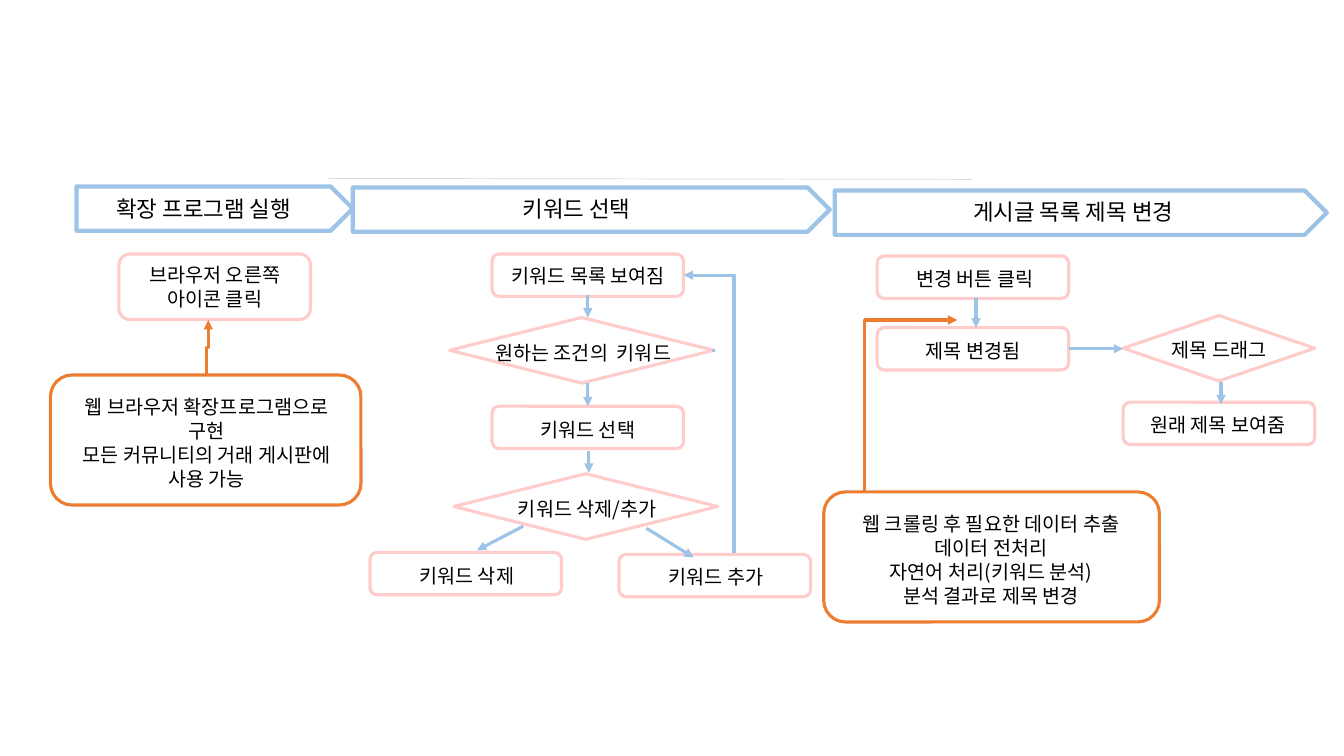
from typing import NamedTuple

from lxml.etree import SubElement
from pptx import Presentation
from pptx.dml.color import RGBColor
from pptx.enum.shapes import MSO_CONNECTOR as Link, MSO_SHAPE as Preset
from pptx.enum.text import MSO_AUTO_SIZE as AutoSize, PP_ALIGN as Align
from pptx.oxml.ns import qn
from pptx.util import Inches, Pt

FONT = "Noto Sans CJK KR"
BLUE, PINK, ORANGE, GRAY, BLACK = "9DC3E6", "FFCCCC", "ED7D31", "D9D9D9", "000000"


class Style(NamedTuple):
    """Look shared by one family of flow steps; line_pitch is in points."""
    preset: int
    color: str
    weight: float
    font_size: int
    line_pitch: int


class Step(NamedTuple):
    """An outlined step and its label; label is left, top and width."""
    style: Style
    left: float
    top: float
    width: float
    height: float
    label: tuple[float, float, float]
    paragraphs: tuple[str, ...]
    rows: int = 1


class Arrow(NamedTuple):
    """A straight line, with an arrowhead at its end unless head is False."""
    start: tuple[float, float]
    end: tuple[float, float]
    color: str = BLUE
    weight: float = 2.25
    head: bool = True


class Elbow(NamedTuple):
    """A bent arrow: corners before rotation, degrees, and bend position."""
    start: tuple[float, float]
    end: tuple[float, float]
    rotation: int
    bend: float
    color: str


PHASE = Style(Preset.PENTAGON, BLUE, 3, 16, 19)
ACTION = Style(Preset.ROUNDED_RECTANGLE, PINK, 2.25, 14, 17)
DECISION = ACTION._replace(preset=Preset.FLOWCHART_DECISION)
NOTE = ACTION._replace(color=ORANGE)


def action(left: float, top: float, label: tuple[float, float, float], text: str) -> Step:
    """Describe a one-line action of the standard size."""
    return Step(ACTION, left, top, 1.9, 0.42, label, (text,))


STEPS = [
    Step(PHASE, 0.76, 1.85, 2.74, 0.44, (0.79, 1.89, 2.46), ("확장 프로그램 실행",)),
    Step(PHASE, 3.5, 1.86, 4.73, 0.44, (3.6, 1.89, 4.24), ("키워드 선택",)),
    Step(PHASE, 8.28, 1.89, 4.88, 0.44, (8.33, 1.92, 4.63), ("게시글 목록 제목 변경",)),
    Step(ACTION, 1.18, 2.52, 1.9, 0.65, (1.19, 2.56, 1.88),
         ("브라우저 오른쪽 아이콘 클릭",), 2),
    action(4.88, 2.52, (4.83, 2.57, 2.01), "키워드 목록 보여짐"),
    Step(DECISION, 4.46, 3.15, 2.62, 0.65, (4.69, 3.33, 2.19), ("원하는 조건의  키워드",)),
    action(4.88, 4.03, (4.89, 4.09, 1.88), "키워드 선택"),
    Step(DECISION, 4.5, 4.7, 2.62, 0.65, (4.73, 4.88, 2.19), ("키워드 삭제/추가",)),
    action(3.67, 5.48, (3.69, 5.54, 1.88), "키워드 삭제"),
    action(6.14, 5.5, (6.16, 5.55, 1.88), "키워드 추가"),
    action(8.7, 2.54, (8.73, 2.6, 1.88), "변경 버튼 클릭"),
    action(8.7, 3.25, (8.71, 3.31, 1.88), "제목 변경됨"),
    Step(DECISION, 11.14, 3.13, 1.9, 0.65, (11.15, 3.3, 1.88), ("제목 드래그",)),
    action(11.14, 3.99, (11.14, 4.04, 1.88), "원래 제목 보여줌"),
    Step(NOTE, 0.5, 3.72, 3.08, 1.29, (0.56, 3.87, 2.98),
         ("웹 브라우저 확장프로그램으로 구현", "모든 커뮤니티의 거래 게시판에 사용 가능"), 4),
    Step(NOTE, 8.17, 4.88, 3.33, 1.29, (8.23, 5.03, 3.2),
         ("웹 크롤링 후 필요한 데이터 추출", "데이터 전처리",
          "자연어 처리(키워드 분석)", "분석 결과로 제목 변경"), 4),
]

DIVIDER = Arrow((3.24, 1.77), (9.64, 1.78), GRAY, 0.5, False)
ARROWS = [
    Arrow((5.83, 2.93), (5.83, 3.15)),
    Arrow((5.83, 3.8), (5.83, 4.03)),
    Arrow((5.84, 4.47), (5.84, 4.69)),
    Arrow((5.19, 5.22), (4.73, 5.46)),
    Arrow((6.41, 5.24), (6.88, 5.53)),
    Arrow((7.09, 3.48), (7.06, 3.48), head=False),
    Arrow((9.68, 2.96), (9.68, 3.25)),
    Arrow((10.6, 3.46), (11.14, 3.46)),
    Arrow((12.11, 3.79), (12.11, 4.01)),
]
ELBOWS = [
    Elbow((5.65, 4.36), (8.41, 3.86), 270, 1, BLUE),
    Elbow((9.89, 4.49), (8.18, 3.57), 90, 1, ORANGE),
    Elbow((2.33, 3.46), (1.78, 3.44), 90, 0.5, ORANGE),
]


def rgb(color: str) -> RGBColor:
    """Turn a hex string into a colour."""
    return RGBColor.from_string(color)


def add_label(slide, step: Step) -> None:
    """Write the centred text of a step."""
    left, top, width = step.label
    height = 0.1 + step.rows * step.style.line_pitch / 72
    box = slide.shapes.add_textbox(Inches(left), Inches(top), Inches(width), Inches(height))
    frame = box.text_frame
    frame.word_wrap = True
    frame.auto_size = AutoSize.SHAPE_TO_FIT_TEXT
    for index, text in enumerate(step.paragraphs):
        paragraph = frame.add_paragraph() if index else frame.paragraphs[0]
        paragraph.alignment = Align.CENTER
        paragraph.line_spacing = Pt(step.style.line_pitch)
        run = paragraph.add_run()
        run.text = text
        run.font.size = Pt(step.style.font_size)
        run.font.name = FONT
        run.font.color.rgb = rgb(BLACK)
        SubElement(run.font._element, qn("a:ea"), typeface=FONT)


def add_step(slide, step: Step) -> None:
    """Draw the outline of a step, then its label."""
    shape = slide.shapes.add_shape(step.style.preset, Inches(step.left), Inches(step.top),
                                   Inches(step.width), Inches(step.height))
    shape.shadow.inherit = False
    shape.fill.background()
    shape.line.color.rgb = rgb(step.style.color)
    shape.line.width = Pt(step.style.weight)
    add_label(slide, step)


def add_link(slide, kind: int, arrow: Arrow):
    """Draw a connector without shadow and return it."""
    connector = slide.shapes.add_connector(kind, *map(Inches, arrow.start + arrow.end))
    connector.line.color.rgb = rgb(arrow.color)
    connector.line.width = Pt(arrow.weight)
    properties = connector._element.spPr
    if arrow.head:
        SubElement(properties.find(qn("a:ln")), qn("a:tailEnd"), type="triangle")
    SubElement(properties, qn("a:effectLst"))
    return connector


def add_elbow(slide, elbow: Elbow) -> None:
    """Draw a rotated bent arrow."""
    connector = add_link(slide, Link.ELBOW, Arrow(elbow.start, elbow.end, elbow.color))
    properties = connector._element.spPr
    properties.find(qn("a:xfrm")).set("rot", str(elbow.rotation * 60000))
    adjustments = properties.find(qn("a:prstGeom")).find(qn("a:avLst"))
    SubElement(adjustments, qn("a:gd"), name="adj1", fmla=f"val {round(elbow.bend * 100000)}")


def main() -> None:
    """Build and save the slide."""
    presentation = Presentation()
    presentation.slide_width, presentation.slide_height = Inches(13.33), Inches(7.5)
    slide = presentation.slides.add_slide(presentation.slide_layouts[6])
    add_link(slide, Link.STRAIGHT, DIVIDER)
    for step in STEPS:
        add_step(slide, step)
    for arrow in ARROWS:
        add_link(slide, Link.STRAIGHT, arrow)
    for elbow in ELBOWS:
        add_elbow(slide, elbow)
    presentation.save("out.pptx")


main()
